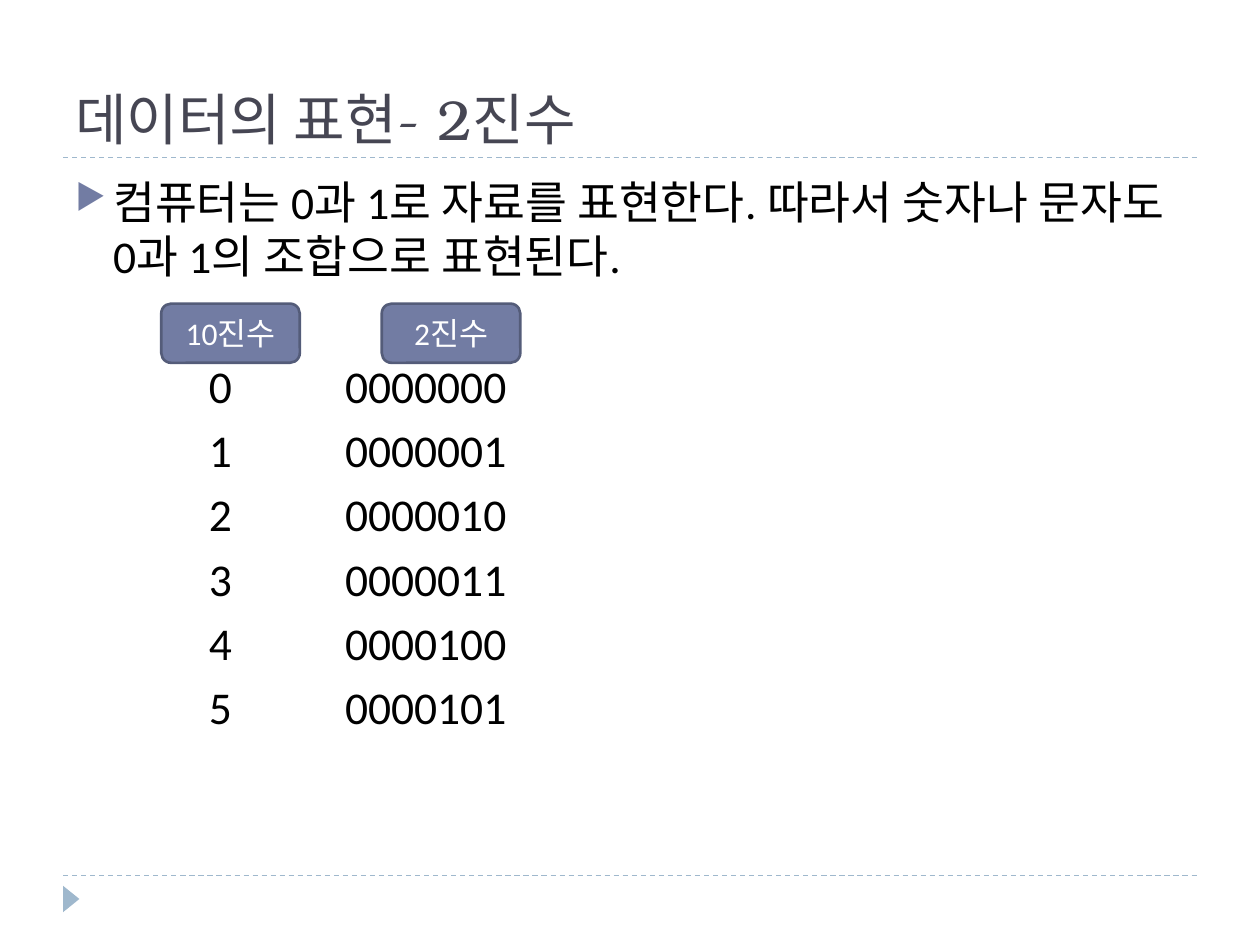
import dataclasses

import lxml.etree
import pptx
import pptx.dml.color
import pptx.enum.dml
import pptx.enum.shapes
import pptx.enum.text
import pptx.oxml.ns
import pptx.util

Inches = pptx.util.Inches
Pt = pptx.util.Pt
Anchor = pptx.enum.text.MSO_ANCHOR
Shapes = pptx.enum.shapes.MSO_SHAPE


@dataclasses.dataclass(frozen=True)
class Theme:
    heading_font: str = "TeX Gyre Bonum"
    body_font: str = "Calibri"
    heading_color: str = "464653"
    body_color: str = "000000"
    accent: str = "727CA3"
    accent_edge: str = "545C79"
    rule: str = "9FB8CD"
    label_color: str = "FFFFFF"
    heading_size: float = 32
    body_size: float = 26
    label_size: float = 18


THEME = Theme()


def rgb(value):
    return pptx.dml.color.RGBColor.from_string(value)


def add_xml(parent, tag, **attributes):
    return lxml.etree.SubElement(parent, pptx.oxml.ns.qn(tag), attributes)


def write(paragraph, text, font, size, color):
    paragraph.text = text
    for run in paragraph.runs:
        run.font.name = font
        run.font.size = Pt(size)
        run.font.color.rgb = rgb(color)


def add_text_frame(slide, left, top, width, height, anchor):
    frame = slide.shapes.add_textbox(
        Inches(left), Inches(top), Inches(width), Inches(height)).text_frame
    frame.word_wrap = True
    frame.vertical_anchor = anchor
    return frame


def set_indent(paragraph, margin, first_line):
    properties = paragraph._p.get_or_add_pPr()
    properties.set("marL", str(Inches(margin)))
    properties.set("indent", str(Inches(first_line)))
    return properties


def add_rule(slide, left, top, width):
    rule = slide.shapes.add_connector(
        pptx.enum.shapes.MSO_CONNECTOR.STRAIGHT,
        Inches(left), Inches(top), Inches(left + width), Inches(top))
    rule.line.color.rgb = rgb(THEME.rule)
    rule.line.width = Pt(0.75)
    rule.line.dash_style = pptx.enum.dml.MSO_LINE.DASH
    add_xml(rule._element.spPr, "a:effectLst")


def add_heading(slide, left, top, width, height, text):
    frame = add_text_frame(slide, left, top, width, height, Anchor.BOTTOM)
    write(frame.paragraphs[0], text, THEME.heading_font,
          THEME.heading_size, THEME.heading_color)
    add_rule(slide, left, top + height, width)


def add_footer(slide, left, top, width):
    add_rule(slide, left, top, width)
    marker = slide.shapes.add_shape(
        Shapes.ISOSCELES_TRIANGLE, Inches(left - 0.04), Inches(top + 0.12),
        Inches(0.21), Inches(0.13))
    marker.rotation = 90
    marker.shadow.inherit = False
    marker.fill.solid()
    marker.fill.fore_color.rgb = rgb(THEME.rule)
    marker.line.fill.background()


def add_column_label(slide, left, top, text):
    label = slide.shapes.add_shape(
        Shapes.ROUNDED_RECTANGLE, Inches(left), Inches(top),
        Inches(1.1), Inches(0.47))
    label.shadow.inherit = False
    label.fill.solid()
    label.fill.fore_color.rgb = rgb(THEME.accent)
    label.line.color.rgb = rgb(THEME.accent_edge)
    label.line.width = Pt(1.5)
    label.text_frame.vertical_anchor = Anchor.MIDDLE
    caption = label.text_frame.paragraphs[0]
    caption.alignment = pptx.enum.text.PP_ALIGN.CENTER
    write(caption, text, THEME.body_font, THEME.label_size, THEME.label_color)


def add_number_systems(slide, left, top, width, height, statement, labels, numbers):
    frame = add_text_frame(slide, left, top, width, height, Anchor.TOP)
    body_style = (THEME.body_font, THEME.body_size, THEME.body_color)

    intro = frame.paragraphs[0]
    write(intro, statement, *body_style)
    intro.space_before = Pt(6)
    properties = set_indent(intro, 0.3, -0.3)
    add_xml(add_xml(properties, "a:buClr"), "a:srgbClr", val=THEME.accent)
    add_xml(properties, "a:buSzPct", val="76000")
    add_xml(properties, "a:buChar", char="▶")

    for number in numbers:
        row = frame.add_paragraph()
        write(row, f"{number}\t{number:07b}", *body_style)
        row.space_before = Pt(43 if number == numbers[0] else 5.5)
        set_indent(row, 2.14, -1.08)

    for column, label in enumerate(labels):
        add_column_label(slide, left + 0.78 + 1.75 * column, top + 1.08, label)


def build():
    deck = pptx.Presentation()
    deck.slide_width = Inches(10)
    deck.slide_height = Inches(7.5)
    slide = deck.slides.add_slide(deck.slide_layouts[6])
    add_heading(slide, 0.5, 0.17, 9, 1.08, "데이터의 표현- 2진수")
    add_number_systems(
        slide, 0.5, 1.33, 9, 5.4,
        "컴퓨터는 0과 1로 자료를 표현한다. 따라서 숫자나 문자도 0과 1의 조합으로 표현된다.",
        ["10진수", "2진수"], range(6))
    add_footer(slide, 0.5, 6.95, 9)
    deck.save("out.pptx")


build()
